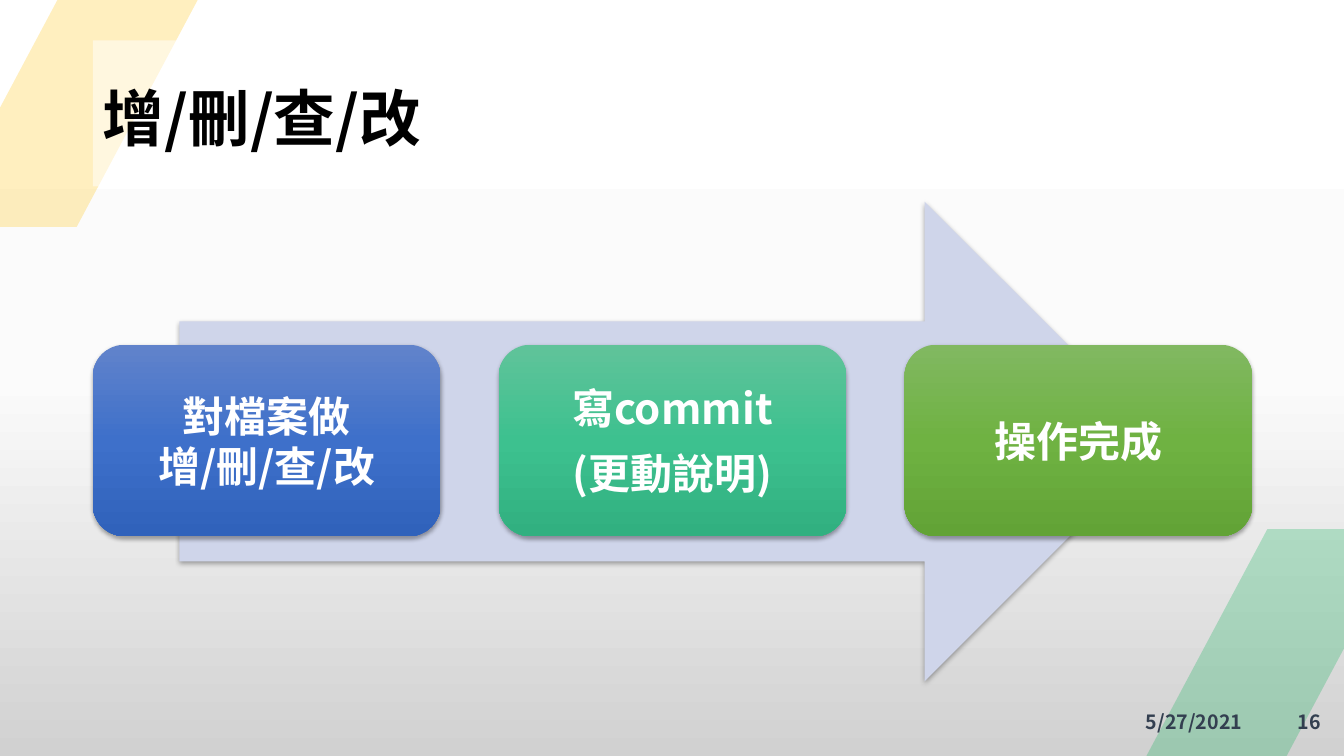
import pptx
import pptx.util
import pptx.dml.color
import pptx.enum.shapes
import pptx.enum.text
import pptx.oxml
import pptx.oxml.ns
from dataclasses import dataclass
from lxml import etree

Inches, Pt = pptx.util.Inches, pptx.util.Pt
SHAPES = pptx.enum.shapes.MSO_SHAPE
ALIGN = pptx.enum.text.PP_ALIGN
qn = pptx.oxml.ns.qn


@dataclass(frozen=True)
class Theme:
    font: str = "Noto Sans CJK SC"
    title_size: int = 44
    step_size: int = 30
    footer_size: int = 14
    black: str = "000000"
    white: str = "FFFFFF"
    footer: str = "333F50"
    arrow: str = "CFD5EA"
    yellow: str = "FFC000"
    green: str = "00B050"
    backdrop: tuple = ("FFFFFF", "FBFBFB", "D1D1D1")


THEME = Theme()

# Content: a vertical tab is a line break inside a paragraph
TITLE = "增/刪/查/改"
STEPS = [
    ("對檔案做\v增/刪/查/改", ("6183CB", "3E70CA", "3062BB")),
    ("寫commit\n(更動說明)", ("60C39A", "3DC18F", "31B080")),
    ("操作完成", ("81B861", "6FB242", "62A336")),
]
FOOTERS = [("5/27/2021", 7.77, 4.65), ("16", 12.65, 0.55)]
CORNERS = [(11.37, 5.25, THEME.green), (-0.63, 0, THEME.yellow)]

# Layout in inches
LEFT, WIDTH = 0.92, 11.5
STEP_TOP, STEP_WIDTH, STEP_HEIGHT = 3.42, 3.45, 1.9
STEP_PITCH = (WIDTH - STEP_WIDTH) / (len(STEPS) - 1)


def rgb(color):
    return pptx.dml.color.RGBColor.from_string(color)


def paint(shape, color, opacity=100):
    shape.fill.solid()
    shape.fill.fore_color.rgb = rgb(color)
    if opacity < 100:
        tint = shape.element.spPr.find(qn("a:solidFill"))[0]
        etree.SubElement(tint, qn("a:alpha")).set("val", str(opacity * 1000))


def paint_gradient(fill, element, colors):
    """Blend evenly spaced colours from top to bottom."""
    fill.gradient()
    fill.gradient_angle = 270
    stops = next(element.iter(qn("a:gsLst")))
    for stop in list(stops):
        stops.remove(stop)
    for index, color in enumerate(colors):
        stop = etree.SubElement(stops, qn("a:gs"))
        stop.set("pos", str(index * 100000 // (len(colors) - 1)))
        etree.SubElement(stop, qn("a:srgbClr")).set("val", color)


def add_shadow(shape):
    effects = shape.element.spPr.find(qn("a:effectLst"))
    effects.append(pptx.oxml.parse_xml(
        f'<a:outerShdw {pptx.oxml.ns.nsdecls("a")} blurRad="40000" dist="23000" '
        'dir="5400000" rotWithShape="0"><a:srgbClr val="000000">'
        '<a:alpha val="35000"/></a:srgbClr></a:outerShdw>'))


def add_shape(kind, left, top, width, height):
    shape = page.shapes.add_shape(
        kind, Inches(left), Inches(top), Inches(width), Inches(height))
    shape.shadow.inherit = False
    shape.line.fill.background()
    return shape


def write(shape, text, size, color, align, line_spacing=1.0, gap=0):
    frame = shape.text_frame
    frame.text = text
    frame.word_wrap = True
    frame.auto_size = pptx.enum.text.MSO_AUTO_SIZE.NONE
    frame.vertical_anchor = pptx.enum.text.MSO_ANCHOR.MIDDLE
    for para in frame.paragraphs:
        para.alignment = align
        para.line_spacing = line_spacing
        para.space_after = Pt(gap)
        for span in para.runs:
            span.font.name = THEME.font
            span.font.size = Pt(size)
            span.font.bold = True
            span.font.color.rgb = rgb(color)
    # East Asian glyphs need their own typeface entry
    for properties in shape.element.iter(qn("a:rPr")):
        etree.SubElement(properties, qn("a:ea")).set("typeface", THEME.font)


# Deck and background
deck = pptx.Presentation()
deck.slide_width, deck.slide_height = Inches(13.33), Inches(7.5)
page = deck.slides.add_slide(deck.slide_layouts[5])
paint_gradient(page.background.fill, page.element, THEME.backdrop)

# Corner decorations
for left, top, color in CORNERS:
    corner = add_shape(SHAPES.PARALLELOGRAM, left, top, 2.59, 2.25)
    corner.adjustments[0] = 0.533
    paint(corner, color, opacity=25)

# Title, lifted above the corner decorations
title = page.shapes.title
title.left, title.top = Inches(LEFT), Inches(0.4)
title.width, title.height = Inches(WIDTH), Inches(1.45)
paint(title, THEME.white, opacity=50)
write(title, TITLE, THEME.title_size, THEME.black, ALIGN.LEFT, line_spacing=1.1)
page.shapes.element.append(title.element)

# Process arrow
arrow = add_shape(SHAPES.RIGHT_ARROW, 1.78, 2, 9.77, 4.76)
paint(arrow, THEME.arrow)
add_shadow(arrow)

# Steps
for index, (text, colors) in enumerate(STEPS):
    step = add_shape(SHAPES.ROUNDED_RECTANGLE, LEFT + index * STEP_PITCH,
                     STEP_TOP, STEP_WIDTH, STEP_HEIGHT)
    paint_gradient(step.fill, step.element, colors)
    add_shadow(step)
    write(step, text, THEME.step_size, THEME.white, ALIGN.CENTER,
          gap=0.35 * THEME.step_size)

# Date and page number
for text, left, width in FOOTERS:
    box = page.shapes.add_textbox(
        Inches(left), Inches(6.96), Inches(width), Inches(0.4))
    write(box, text, THEME.footer_size, THEME.footer, ALIGN.RIGHT)

deck.save("out.pptx")
